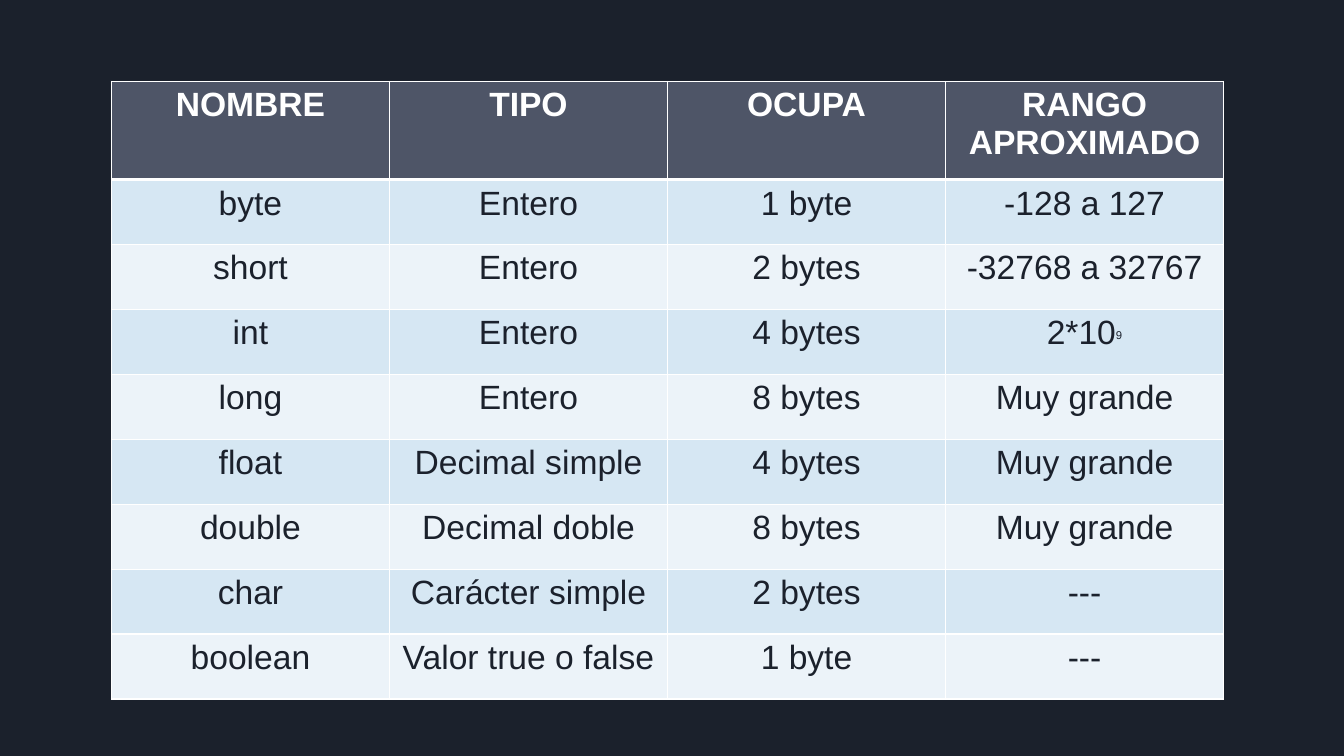
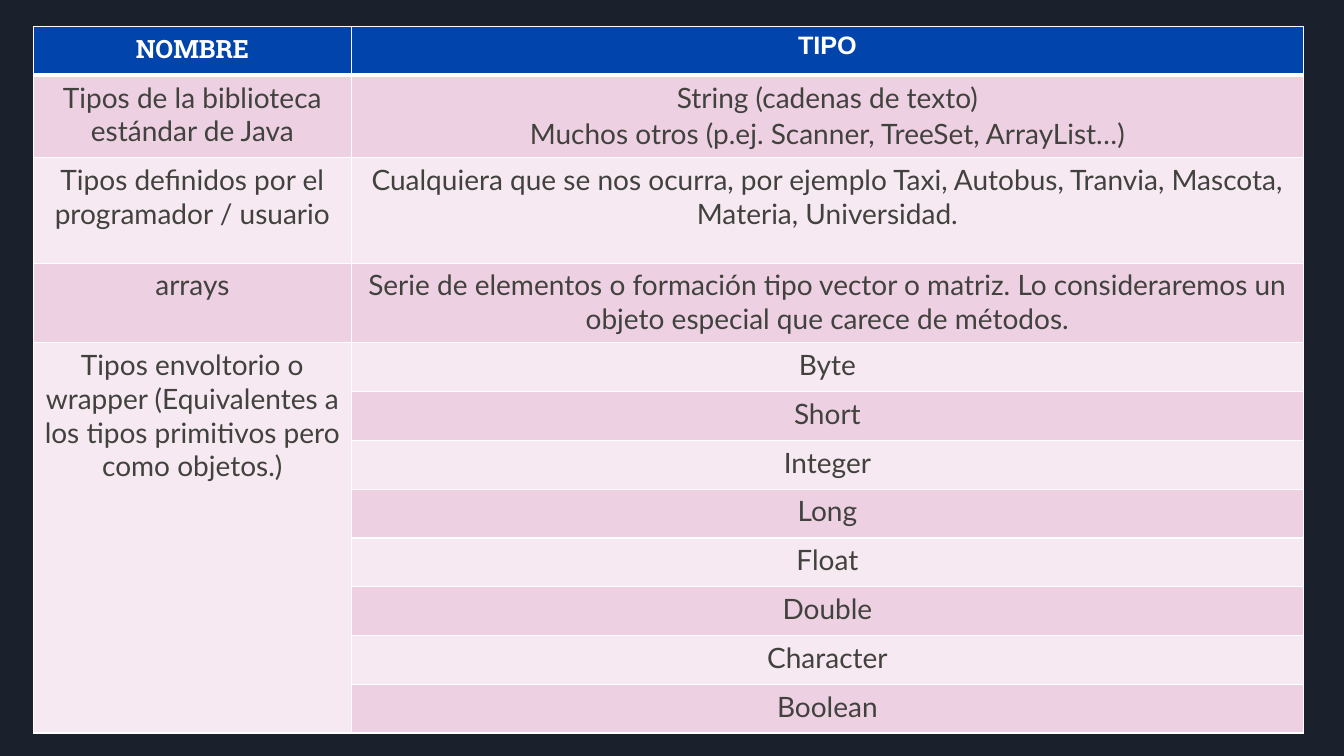
from lxml.etree import SubElement
from pptx import Presentation
from pptx.dml.color import RGBColor
from pptx.enum.text import PP_ALIGN
from pptx.oxml.ns import qn
from pptx.util import Pt

CENTER = PP_ALIGN.CENTER
NIGHT = RGBColor(0x1B, 0x21, 0x2C)
WHITE = RGBColor(0xFF, 0xFF, 0xFF)
SLATE = RGBColor(0x4E, 0x55, 0x67)
SKY = RGBColor(0xD6, 0xE7, 0xF3)
ICE = RGBColor(0xEC, 0xF3, 0xF9)
BLUE = RGBColor(0x01, 0x45, 0xAC)
PINK = RGBColor(0xED, 0xD0, 0xE2)
BLUSH = RGBColor(0xF6, 0xE9, 0xF1)
GRAY = RGBColor(0x41, 0x42, 0x3D)

PLAIN = [
    ("NOMBRE", "TIPO", "OCUPA", "RANGO APROXIMADO"),
    ("byte", "Entero", "1 byte", "-128 a 127"),
    ("short", "Entero", "2 bytes", "-32768 a 32767"),
    ("int", "Entero", "4 bytes", "2*10^9"),
    ("long", "Entero", "8 bytes", "Muy grande"),
    ("float", "Decimal simple", "4 bytes", "Muy grande"),
    ("double", "Decimal doble", "8 bytes", "Muy grande"),
    ("char", "Carácter simple", "2 bytes", "---"),
    ("boolean", "Valor true o false", "1 byte", "---"),
]
WRAPS = ["Short", "Integer", "Long", "Float", "Double", "Character", "Boolean"]
OBJECTS = [
    ("NOMBRE", "TIPO"),
    ("Tipos de la biblioteca estándar de Java",
     "String (cadenas de texto)\nMuchos otros (p.ej. Scanner, TreeSet, ArrayList…)"),
    ("Tipos definidos por el programador / usuario",
     "Cualquiera que se nos ocurra, por ejemplo Taxi, Autobus, Tranvia, Mascota, "
     "Materia, Universidad."),
    ("arrays",
     "Serie de elementos o formación tipo vector o matriz. Lo consideraremos un "
     "objeto especial que carece de métodos."),
    ("Tipos envoltorio o wrapper (Equivalentes a los tipos primitivos pero como objetos.)",
     "Byte"),
] + [("", name) for name in WRAPS]

TABLES = [
    dict(data=PLAIN, left=79.6, top=58.1, cols=[198.6] * 4, rows=[70.2] + [46.4] * 8,
         head=SLATE, bands=(SKY, ICE), inset=6, merge=None,
         fonts=["Arial"] * 4, title=dict(size=Pt(24), bold=True),
         body=dict(name="Arial", size=Pt(24), bold=False), ink=NIGHT),
    dict(data=OBJECTS, left=24, top=19, cols=[226.8, 680.4],
         rows=[34.8, 58.8, 75.4, 57] + [34.85] * 8,
         head=BLUE, bands=(PINK, BLUSH), inset=7.2, merge=(4, 11),
         fonts=["Roboto Slab", "Arial"], title=dict(size=Pt(18), bold=True),
         body=dict(name="Lato", size=Pt(20), bold=False), ink=GRAY),
]


def border(cell, row):
    wide = {"T": 3 if row == 1 else 1, "B": 3 if row == 0 else 1}
    props = cell._tc.get_or_add_tcPr()
    for side in "LRTB":
        line = SubElement(props, qn(f"a:ln{side}"), w=str(Pt(wide.get(side, 1))))
        fill = SubElement(line, qn("a:solidFill"))
        SubElement(fill, qn("a:srgbClr"), val=str(WHITE))


def write(cell, text, style, ink):
    frame = cell.text_frame
    for i, line in enumerate(text.split("\n")):
        para = frame.add_paragraph() if i else frame.paragraphs[0]
        para.alignment = CENTER
        if i:
            para.space_before = Pt(2.2)
        for j, part in enumerate(line.split("^")):
            run = para.add_run()
            run.text = part
            for key, value in style.items():
                setattr(run.font, key, value)
            run.font.color.rgb = ink
            if j:
                run.font.size = Pt(14)
                run._r.get_or_add_rPr().set("baseline", "30000")


def draw(slide, plan):
    cols, rows = plan["cols"], plan["rows"]
    frame = slide.shapes.add_table(len(rows), len(cols), Pt(plan["left"]),
                                   Pt(plan["top"]), Pt(sum(cols)), Pt(sum(rows)))
    table = frame.table
    for col, width in zip(table.columns, cols):
        col.width = Pt(width)
    for row, height in zip(table.rows, rows):
        row.height = Pt(height)
    if plan["merge"]:
        first, last = plan["merge"]
        table.cell(first, 0).merge(table.cell(last, 0))
    for r, texts in enumerate(plan["data"]):
        side = 6 if r else plan["inset"]
        inset = dict(margin_left=Pt(side), margin_right=Pt(side),
                     margin_top=Pt(3.6), margin_bottom=Pt(3.6))
        for c, text in enumerate(texts):
            cell = table.cell(r, c)
            for key, value in inset.items():
                setattr(cell, key, value)
            border(cell, r)
            cell.fill.solid()
            cell.fill.fore_color.rgb = plan["bands"][(r - 1) % 2] if r else plan["head"]
            style = plan["body"] if r else dict(plan["title"], name=plan["fonts"][c])
            if text:
                write(cell, text, style, plan["ink"] if r else WHITE)


def main():
    deck = Presentation()
    deck.slide_width, deck.slide_height = Pt(960), Pt(540)
    for plan in TABLES:
        slide = deck.slides.add_slide(deck.slide_layouts[6])
        back = slide.background.fill
        back.solid()
        back.fore_color.rgb = NIGHT
        draw(slide, plan)
    deck.save("out.pptx")


if __name__ == "__main__":
    main()
